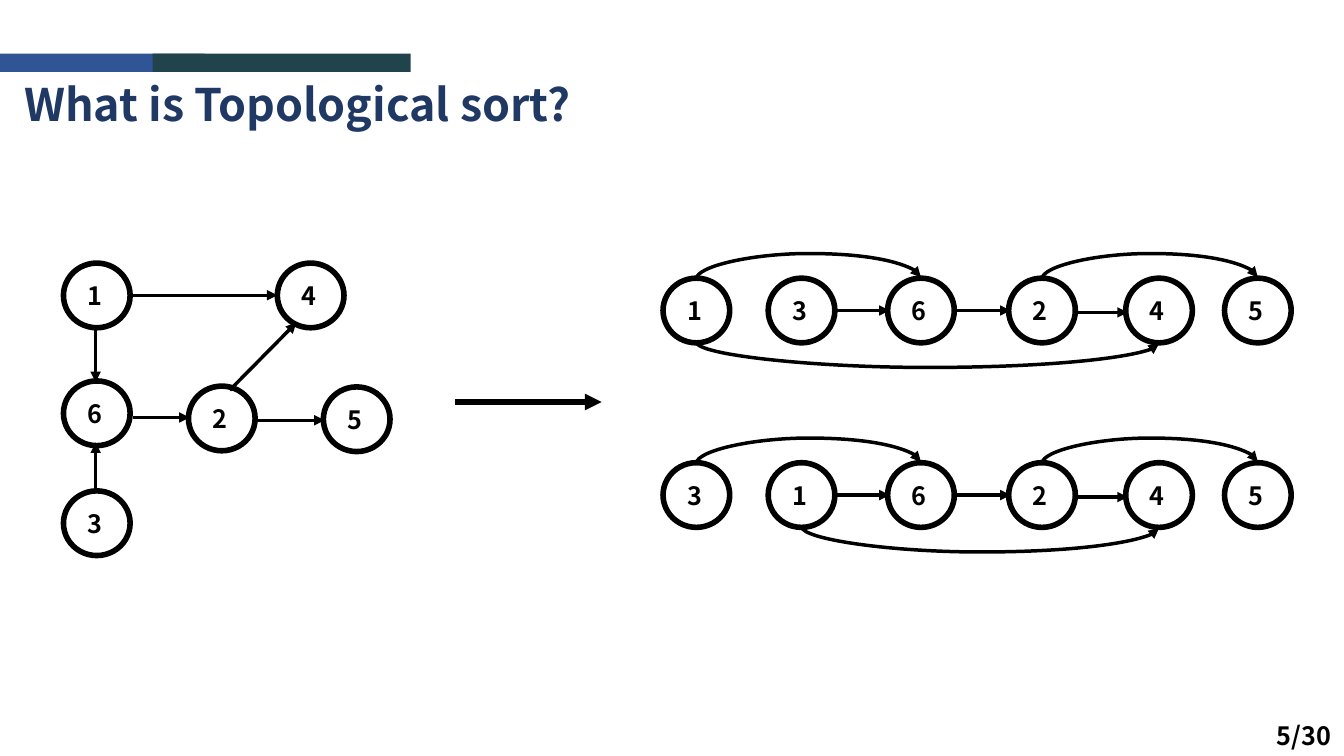
from dataclasses import dataclass

from lxml import etree
from pptx import Presentation
from pptx.dml.color import RGBColor
from pptx.enum import shapes as kinds, text as txt
from pptx.oxml import ns
from pptx.util import Cm, Pt

FONT = "Noto Sans CJK KR"
HUE = {"title": "203864", "blue": "2F5597", "teal": "21434B", "ink": "000000"}
WIDE, HIGH = 1.68, 1.63  # node size in cm
RISE, STEP = 0.64, 0.04  # height of an arc, offset between its ends


@dataclass
class Node:
    label: str
    x: float
    y: float


@dataclass
class Edge:
    x1: float
    y1: float
    x2: float
    y2: float
    width: float = 2.5


@dataclass
class Arc:
    x1: float
    x2: float
    y: float
    above: bool


@dataclass
class Order:
    labels: str
    y: float
    low: int  # node where the lower arc starts


def rgb(key: str) -> RGBColor:
    return RGBColor.from_string(HUE[key])


def write(frame, words: str, *, size: float = 18, hue: str = "ink", align=None) -> None:
    para = frame.paragraphs[0]
    para.alignment = align
    run = para.add_run()
    run.text = words
    font = run.font
    font.name, font.size, font.bold = FONT, Pt(size), True
    font.color.rgb = rgb(hue)


def add_label(slide, words: str, box: tuple, **form) -> None:
    frame = slide.shapes.add_textbox(*map(Cm, box)).text_frame
    frame.word_wrap = False
    write(frame, words, **form)


def add_bar(slide, x: float, width: float, hue: str) -> None:
    bar = slide.shapes.add_shape(
        kinds.MSO_SHAPE.RECTANGLE, Cm(x), Cm(1.35), Cm(width), Cm(0.46))
    bar.shadow.inherit = False
    bar.fill.solid()
    bar.fill.fore_color.rgb = rgb(hue)
    bar.line.fill.background()


def add_node(slide, node: Node) -> None:
    ring = slide.shapes.add_shape(
        kinds.MSO_SHAPE.OVAL, Cm(node.x), Cm(node.y), Cm(WIDE), Cm(HIGH))
    ring.shadow.inherit = False
    ring.fill.background()
    ring.line.color.rgb = rgb("ink")
    ring.line.width = Pt(4)
    frame = ring.text_frame
    frame.margin_left = frame.margin_top = frame.margin_bottom = 0
    frame.margin_right = Cm(0.08)
    frame.vertical_anchor = txt.MSO_ANCHOR.MIDDLE
    write(frame, node.label, align=txt.PP_ALIGN.CENTER)


def add_line(slide, kind, edge: Edge):
    link = slide.shapes.add_connector(
        kind, Cm(edge.x1), Cm(edge.y1), Cm(edge.x2), Cm(edge.y2))
    link.line.color.rgb = rgb("ink")
    link.line.width = Pt(edge.width)
    tip = etree.SubElement(link.line._get_or_add_ln(), ns.qn("a:tailEnd"))
    tip.set("type", "triangle")
    etree.SubElement(link._element.spPr, ns.qn("a:effectLst"))
    return link


def add_arrow(slide, edge: Edge) -> None:
    add_line(slide, kinds.MSO_CONNECTOR.STRAIGHT, edge)


def add_arc(slide, arc: Arc) -> None:
    # A thin upright curve, turned a quarter so that it bulges up or down
    mid, half = (arc.x1 + arc.x2) / 2, (arc.x2 - arc.x1) / 2
    link = add_line(slide, kinds.MSO_CONNECTOR.CURVE, Edge(
        mid - STEP / 2, arc.y - half, mid + STEP / 2, arc.y + half))
    props = link._element.spPr
    frame = props.find(ns.qn("a:xfrm"))
    frame.set("rot", str((90 if arc.above else 270) * 60000))
    frame.set("flipH", "1")
    if arc.above:
        frame.set("flipV", "1")
    geom = props.find(ns.qn("a:prstGeom"))
    guides = geom.find(ns.qn("a:avLst"))
    if guides is None:
        guides = etree.SubElement(geom, ns.qn("a:avLst"))
    guide = etree.SubElement(guides, ns.qn("a:gd"))
    guide.set("name", "adj1")
    guide.set("fmla", f"val {round(RISE / STEP * 100000)}")


def add_order(slide, order: Order) -> None:
    spots = (16.71, 19.36, 22.37, 25.42, 28.37, 30.86)
    for label, x in zip(order.labels, spots):
        add_node(slide, Node(label, x, order.y))
    for i in (1, 2, 3):
        y = order.y + HIGH / 2 + (0.05 if i == 3 else 0)
        add_arrow(slide, Edge(spots[i] + WIDE, y, spots[i + 1] + 0.05, y))
    for start, end, above in ((0, 2, True), (3, 5, True), (order.low, 4, False)):
        add_arc(slide, Arc(spots[start] + WIDE / 2, spots[end] + WIDE / 2,
                           order.y if above else order.y + HIGH, above))


NODES = [
    Node("1", 1.6, 6.63), Node("2", 4.75, 9.73), Node("4", 6.99, 6.63),
    Node("5", 8.15, 9.75), Node("3", 1.6, 12.37), Node("6", 1.6, 9.6),
]
EDGES = [
    Edge(3.28, 7.44, 6.99, 7.44),
    Edge(3.35, 10.52, 4.78, 10.52),
    Edge(6.45, 10.59, 8.18, 10.59),
    Edge(2.41, 8.23, 2.41, 9.63),
    Edge(2.41, 12.37, 2.41, 11.15),
    Edge(5.79, 9.83, 7.47, 8.13),
    Edge(11.46, 10.13, 15.16, 10.13, 4),  # from the graph to its orders
]
ORDERS = [Order("136245", 7.01, 0), Order("316245", 11.66, 1)]


def main() -> None:
    deck = Presentation()
    deck.slide_width, deck.slide_height = Cm(33.87), Cm(19.05)
    slide = deck.slides.add_slide(deck.slide_layouts[6])

    # Title, bars and page number
    add_label(slide, "What is Topological sort?", (0.36, 1.8, 14.91, 1.63),
              size=32, hue="title")
    add_bar(slide, 0, 5.16, "blue")
    add_bar(slide, 3.85, 6.5, "teal")
    add_label(slide, "5/30", (31.93, 18.03, 2, 1.02))

    # Graph on the left
    for node in NODES:
        add_node(slide, node)
    for edge in EDGES:
        add_arrow(slide, edge)

    # Two valid orders on the right
    for order in ORDERS:
        add_order(slide, order)

    deck.save("out.pptx")


if __name__ == "__main__":
    main()
